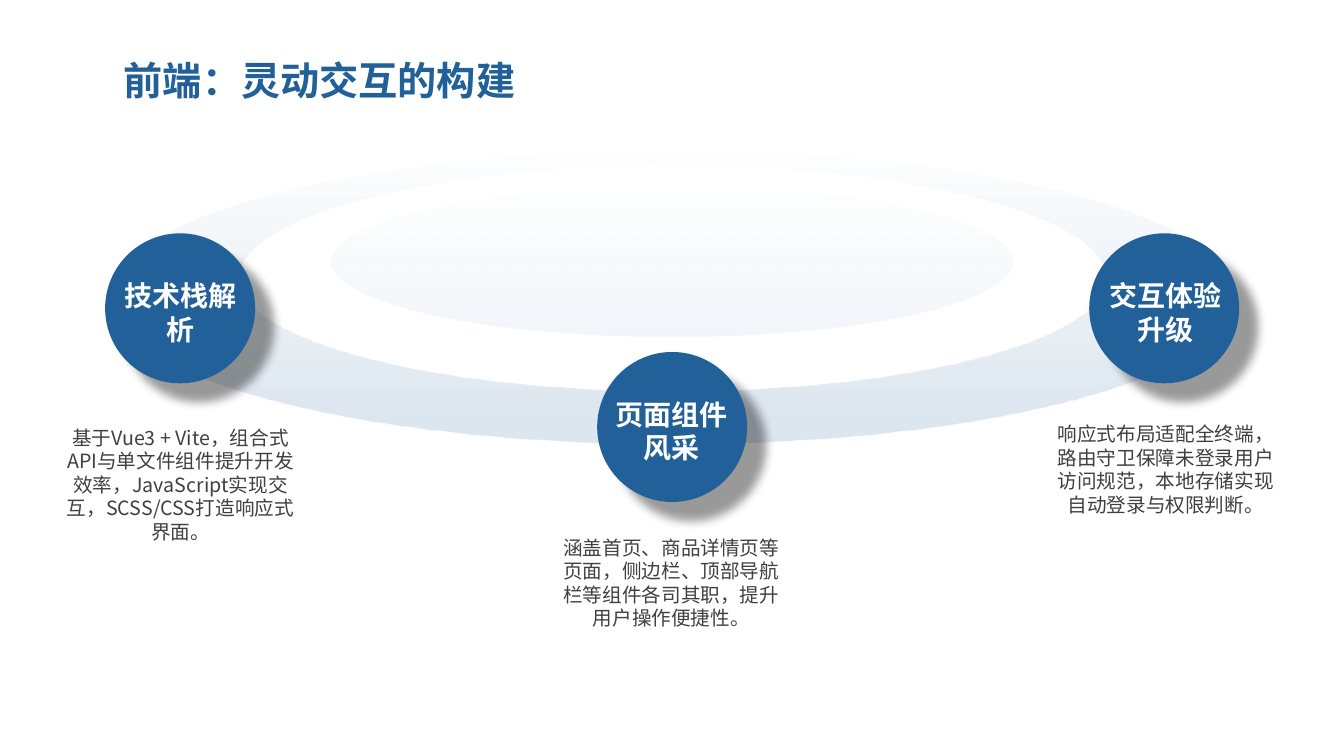
from dataclasses import dataclass

from lxml.etree import SubElement
from pptx import Presentation
from pptx.dml.color import RGBColor
from pptx.enum.shapes import MSO_SHAPE
from pptx.enum.text import MSO_ANCHOR, MSO_AUTO_SIZE, PP_ALIGN
from pptx.oxml.ns import qn
from pptx.shapes.autoshape import Shape
from pptx.slide import Slide
from pptx.util import Cm, Pt

BLUE, GREY, WHITE, BLACK = "226099", "404040", "FFFFFF", "000000"
SC, JP = "Noto Sans CJK SC", "Noto Sans CJK JP"
SLIDE_W, SLIDE_H = 33.87, 19.05
DISC = 3.78
DISC_LEFT, DISC_STEP = 2.65, 12.4
LABEL_W, LABEL_H, LABEL_DROP = 3.58, 1.96, 1.01
BODY_W, BODY_H = 6.27, 3.3
LINE_HEIGHT = 1.2
ARC = 0.55
TITLE = {"name": SC, "size": Pt(28), "bold": True}
LABEL = {"name": SC, "size": Pt(20), "bold": True}
BODY = {"name": JP, "size": Pt(14), "bold": False}


@dataclass
class Topic:
    label: str
    body: str
    disc_top: float
    body_top: float
    text_center: float


@dataclass
class Oval:
    cx: float
    cy: float
    rx: float
    ry: float

    def corners(self, turn: int) -> list[tuple[int, int]]:
        signs = [(1, 0), (0, turn), (-1, 0), (0, -turn), (1, 0)]
        return [(Cm(self.cx + self.rx * x), Cm(self.cy + self.ry * y))
                for x, y in signs]


TOPICS = [
    Topic("技术栈解析",
          "基于Vue3 + Vite，组合式API与单文件组件提升开发效率，"
          "JavaScript实现交互，SCSS/CSS打造响应式界面。", 5.88, 10.6, 4.55),
    Topic("页面组件风采",
          "涵盖首页、商品详情页等页面，侧边栏、顶部导航栏等组件各司其职，"
          "提升用户操作便捷性。", 8.87, 13.37, 16.92),
    Topic("交互体验升级",
          "响应式布局适配全终端，路由守卫保障未登录用户访问规范，"
          "本地存储实现自动登录与权限判断。", 5.88, 10.51, 29.38),
]
RING_OUTER = Oval(SLIDE_W / 2, 7.49, 14.17, 3.69)
RING_INNER = Oval(SLIDE_W / 2, 7.01, 10.91, 2.84)
CORE = Oval(SLIDE_W / 2, 6.59, 8.59, 1.89)


def rgb(color: str) -> RGBColor:
    return RGBColor.from_string(color)


def write(s: Shape, text: str, font: dict, color: str, align: PP_ALIGN) -> None:
    tf = s.text_frame
    frame = {"word_wrap": True, "auto_size": MSO_AUTO_SIZE.NONE,
             "vertical_anchor": MSO_ANCHOR.TOP,
             "margin_left": Cm(0.25), "margin_right": Cm(0.25),
             "margin_top": Cm(0.13), "margin_bottom": Cm(0.13)}
    for key, value in frame.items():
        setattr(tf, key, value)
    p = tf.paragraphs[0]
    p.alignment = align
    p.line_spacing = Pt(font["size"].pt * LINE_HEIGHT)
    r = p.add_run()
    r.text = text
    for key, value in font.items():
        setattr(r.font, key, value)
    r.font.color.rgb = rgb(color)
    SubElement(r.font._element, qn("a:ea"), typeface=font["name"])


def add_text(slide: Slide, center: float, top: float, width: float, height: float,
             text: str, font: dict, color: str) -> None:
    s = slide.shapes.add_textbox(Cm(center - width / 2), Cm(top), Cm(width), Cm(height))
    write(s, text, font, color, PP_ALIGN.CENTER)


def fade(s: Shape, opacity: int) -> None:
    s.shadow.inherit = False
    s.line.fill.background()
    s.fill.gradient()
    s.fill.gradient_angle = 270
    for stop, position in zip(s.fill.gradient_stops, (0, 0.92)):
        stop.position = position
        stop.color.rgb = rgb(BLUE)
    colors = s.element.spPr.iter(qn("a:srgbClr"))
    for node, alpha in zip(colors, (0, opacity)):
        SubElement(node, qn("a:alpha"), val=str(alpha * 1000))


def round_sides(s: Shape) -> None:
    sides = list(s.element.spPr.iter(qn("a:lnTo")))
    for i, side in enumerate(sides):
        before = next(side.itersiblings(preceding=True))
        x0, y0, x1, y1 = (int(pt.get(axis)) for pt in (before[-1], side[0])
                          for axis in ("x", "y"))
        bend_x, bend_y = (x0, y1) if i % 2 == 0 else (x1, y0)
        side.tag = qn("a:cubicBezTo")
        for n, (x, y) in enumerate(((x0, y0), (x1, y1))):
            handle = SubElement(side, qn("a:pt"), x=str(round(x + ARC * (bend_x - x))),
                                y=str(round(y + ARC * (bend_y - y))))
            side.insert(n, handle)


def add_ring(slide: Slide, outer: Oval, inner: Oval) -> None:
    edge, hole = outer.corners(1), inner.corners(-1)
    builder = slide.shapes.build_freeform(*edge[0])
    builder.add_line_segments(edge[1:], close=True)
    builder.move_to(*hole[0])
    builder.add_line_segments(hole[1:], close=True)
    s = builder.convert_to_shape()
    round_sides(s)
    fade(s, 15)


def add_core(slide: Slide, oval: Oval) -> None:
    s = slide.shapes.add_shape(
        MSO_SHAPE.OVAL, Cm(oval.cx - oval.rx), Cm(oval.cy - oval.ry),
        Cm(2 * oval.rx), Cm(2 * oval.ry))
    fade(s, 5)


def add_disc(slide: Slide, left: float, top: float) -> None:
    s = slide.shapes.add_shape(MSO_SHAPE.OVAL, Cm(left), Cm(top), Cm(DISC), Cm(DISC))
    s.fill.solid()
    s.fill.fore_color.rgb = rgb(BLUE)
    s.line.fill.background()
    s.shadow.inherit = False
    effects = s.element.spPr.find(qn("a:effectLst"))
    shadow = SubElement(effects, qn("a:outerShdw"), blurRad=str(Pt(7)),
                        dist=str(Pt(19)), dir=str(45 * 60000),
                        algn="tl", rotWithShape="0")
    color = SubElement(shadow, qn("a:srgbClr"), val=BLACK)
    SubElement(color, qn("a:alpha"), val="40000")


def add_title(slide: Slide, text: str) -> None:
    s = slide.shapes.title
    place = {"left": Cm(2.87), "top": Cm(1.28), "width": Cm(29.08), "height": Cm(1.45)}
    for key, value in place.items():
        setattr(s, key, value)
    write(s, text, TITLE, BLUE, PP_ALIGN.LEFT)


def main() -> None:
    prs = Presentation()
    prs.slide_width, prs.slide_height = Cm(SLIDE_W), Cm(SLIDE_H)
    slide = prs.slides.add_slide(prs.slide_layouts[5])
    add_title(slide, "前端：灵动交互的构建")
    add_ring(slide, RING_OUTER, RING_INNER)
    add_core(slide, CORE)
    for i, topic in enumerate(TOPICS):
        add_disc(slide, DISC_LEFT + i * DISC_STEP, topic.disc_top)
    for topic in TOPICS:
        add_text(slide, topic.text_center, topic.body_top, BODY_W, BODY_H,
                 topic.body, BODY, GREY)
    for topic in TOPICS:
        add_text(slide, topic.text_center, topic.disc_top + LABEL_DROP,
                 LABEL_W, LABEL_H, topic.label, LABEL, WHITE)
    prs.save("out.pptx")


if __name__ == "__main__":
    main()
